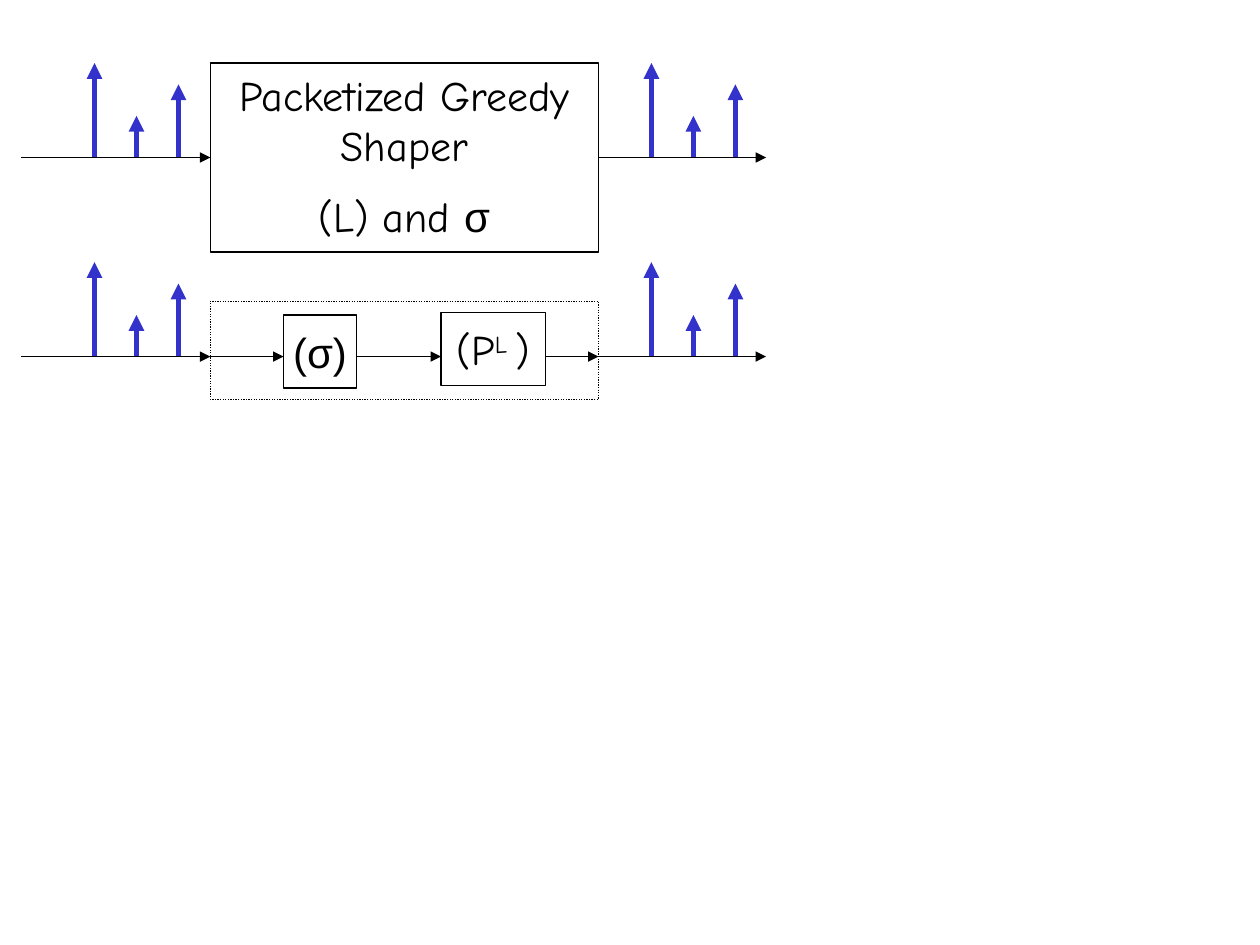
"""Build a slide showing a packetized greedy shaper and its two-stage equivalent."""
from lxml.etree import SubElement
from pptx import Presentation
from pptx.dml.color import RGBColor
from pptx.enum.dml import MSO_LINE
from pptx.enum.shapes import MSO_CONNECTOR, MSO_SHAPE
from pptx.enum.text import MSO_ANCHOR, PP_ALIGN
from pptx.oxml.ns import qn
from pptx.util import Inches, Pt

BLACK, WHITE, BLUE = "000000", "FFFFFF", "3333CC"
COMIC, ARIAL = "Comic Neue", "Arial"


def add_box(left, top, width, height, fill=None, paragraphs=(), **frame_format):
    box = slide.shapes.add_shape(
        MSO_SHAPE.RECTANGLE, Inches(left), Inches(top), Inches(width), Inches(height))
    box.shadow.inherit = False
    if fill:
        box.fill.solid()
        box.fill.fore_color.rgb = RGBColor.from_string(fill)
    else:
        box.fill.background()
    box.line.color.rgb = RGBColor.from_string(BLACK)
    box.line.width = Pt(0.75)
    frame = box.text_frame
    for name, value in frame_format.items():
        setattr(frame, name, value)
    for index, runs in enumerate(paragraphs):
        paragraph = frame.add_paragraph() if index else frame.paragraphs[0]
        paragraph.alignment = PP_ALIGN.CENTER
        if index:
            paragraph.space_before = Pt(12)
        for text, typeface, baseline in runs:
            run = paragraph.add_run()
            run.text = text
            for name, value in {"name": typeface, "size": Pt(24)}.items():
                setattr(run.font, name, value)
            run.font.color.rgb = RGBColor.from_string(BLACK)
            if baseline:
                run.font._element.set("baseline", str(baseline))
    return box


def add_arrow(x1, y1, x2, y2, color=BLACK, width=0.75):
    arrow = slide.shapes.add_connector(
        MSO_CONNECTOR.STRAIGHT, Inches(x1), Inches(y1), Inches(x2), Inches(y2))
    arrow.line.color.rgb = RGBColor.from_string(color)
    arrow.line.width = Pt(width)
    SubElement(arrow.line._get_or_add_ln(), qn("a:tailEnd"), type="triangle")
    SubElement(arrow._element.spPr, qn("a:effectLst"))
    return arrow


prs = Presentation()
prs.slide_width, prs.slide_height = Inches(10), Inches(7.5)
slide = prs.slides.add_slide(prs.slide_layouts[6])

shaper = add_box(
    1.67, 0.5, 3.08, 1.5,
    paragraphs=[[("Packetized Greedy Shaper", COMIC, 0)],
                [("(L) and ", COMIC, 0), ("σ", ARIAL, 0)]],
    word_wrap=True, vertical_anchor=MSO_ANCHOR.TOP)

stage_format = {"word_wrap": False, "vertical_anchor": MSO_ANCHOR.MIDDLE}
add_box(3.5, 2.48, 0.83, 0.58, WHITE,
        [[("(P", COMIC, 0), ("L ", COMIC, 30000), (")", COMIC, 0)]], **stage_format)
add_box(2.25, 2.5, 0.58, 0.58, WHITE, [[("(σ)", ARIAL, 0)]], **stage_format)
system_outline = add_box(1.67, 2.39, 3.08, 0.78)
system_outline.line.dash_style = MSO_LINE.ROUND_DOT

packet_heights = [0.75, 0.33, 0.58]
flows = []
for axis_y in (1.25, 2.83):
    for first_packet_x, start_x, end_x in ((0.75, 0.17, 1.67), (5.17, 4.75, 6.08)):
        for index, height in enumerate(packet_heights):
            packet_x = first_packet_x + index / 3
            add_arrow(packet_x, axis_y, packet_x, axis_y - height, BLUE, 3)
        flows.append(add_arrow(start_x, axis_y, end_x, axis_y))
flows[0].end_connect(shaper, 1)
flows[1].begin_connect(shaper, 3)

for start_x, end_x in ((1.67, 2.25), (2.83, 3.5), (4.33, 4.75)):
    add_arrow(start_x, 2.83, end_x, 2.83)

prs.save("out.pptx")
